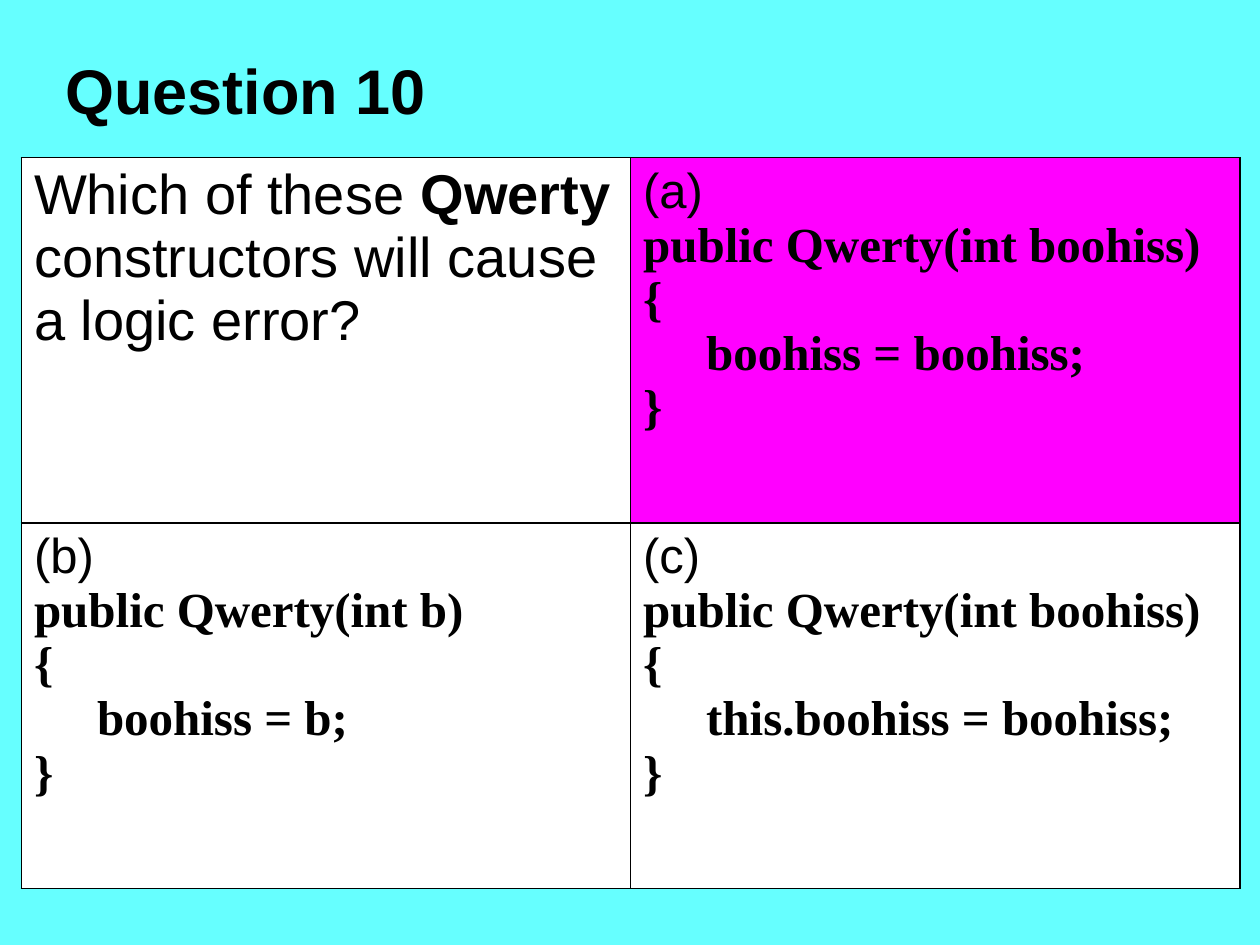
"""Build a quiz slide with a question and three possible constructors."""
from dataclasses import dataclass

from lxml.etree import SubElement
from pptx import Presentation
from pptx.dml.color import RGBColor
from pptx.enum.text import MSO_ANCHOR, MSO_AUTO_SIZE, PP_ALIGN
from pptx.oxml.ns import qn
from pptx.util import Inches, Pt

AQUA = RGBColor(0x66, 0xFF, 0xFF)
MAGENTA = RGBColor(0xFF, 0x00, 0xFF)
WHITE = RGBColor(0xFF, 0xFF, 0xFF)
BLACK = RGBColor(0x00, 0x00, 0x00)
SANS = "Arial"
SERIF = "Times New Roman"


@dataclass(frozen=True)
class Span:
    text: str
    size: int
    font: str = SANS
    bold: bool = False


@dataclass(frozen=True)
class Answer:
    row: int
    column: int
    letter: str
    parameter: str
    statement: str
    fill: RGBColor = WHITE


QUESTION = [
    Span("Which of these ", 32),
    Span("Qwerty ", 32, bold=True),
    Span("constructors will cause a logic error?", 32),
]
ANSWERS = [
    Answer(0, 1, "a", "boohiss", "boohiss = boohiss;", MAGENTA),
    Answer(1, 0, "b", "b", "boohiss = b;"),
    Answer(1, 1, "c", "boohiss", "this.boohiss = boohiss;"),
]


def style_run(run, span: Span) -> None:
    run.font.size = Pt(span.size)
    run.font.name = span.font
    run.font.bold = span.bold
    run.font.color.rgb = BLACK


def add_spans(paragraph, spans: list[Span]) -> None:
    for span in spans:
        run = paragraph.add_run()
        run.text = span.text
        style_run(run, span)


def add_tab_stop(paragraph, position: int) -> None:
    tab_list = SubElement(paragraph._p.get_or_add_pPr(), qn("a:tabLst"))
    SubElement(tab_list, qn("a:tab"), pos=str(position), algn="l")


def format_cell(cell, fill: RGBColor) -> None:
    properties = cell._tc.get_or_add_tcPr()
    for side in ("lnL", "lnR", "lnT", "lnB"):
        border = SubElement(properties, qn(f"a:{side}"), w=str(Pt(1)))
        paint = SubElement(border, qn("a:solidFill"))
        SubElement(paint, qn("a:srgbClr"), val=str(BLACK))
    cell.fill.solid()
    cell.fill.fore_color.rgb = fill


def write_answer(cell, answer: Answer) -> None:
    format_cell(cell, answer.fill)
    code = [f"public Qwerty(int {answer.parameter})", "{", f"\t{answer.statement}", "}"]
    lines = [Span(f"({answer.letter})", 28)]
    lines += [Span(line, 28, SERIF, True) for line in code]
    frame = cell.text_frame
    for index, line in enumerate(lines):
        paragraph = frame.add_paragraph() if index else frame.paragraphs[0]
        add_tab_stop(paragraph, Inches(0.5))
        add_spans(paragraph, [line])


def write_title(title, heading: Span) -> None:
    title.left, title.top = Inches(0.42), Inches(0.33)
    title.width, title.height = Inches(9.42), Inches(0.7)
    frame = title.text_frame
    frame.text = heading.text
    frame.auto_size = MSO_AUTO_SIZE.NONE
    frame.vertical_anchor = MSO_ANCHOR.BOTTOM
    frame.margin_bottom = Inches(0.02)
    paragraph = frame.paragraphs[0]
    paragraph.alignment = PP_ALIGN.LEFT
    style_run(paragraph.runs[0], heading)


def main() -> None:
    deck = Presentation()
    deck.slide_width, deck.slide_height = Inches(10), Inches(7.5)
    slide = deck.slides.add_slide(deck.slide_layouts[5])
    slide.background.fill.solid()
    slide.background.fill.fore_color.rgb = AQUA
    write_title(slide.shapes.title, Span("Question 10", 36, bold=True))

    quiz = slide.shapes.add_table(
        2, 2, Inches(0.17), Inches(1.25), Inches(9.67), Inches(5.8)
    ).table
    quiz.first_row = quiz.horz_banding = False
    question_cell = quiz.cell(0, 0)
    format_cell(question_cell, WHITE)
    add_spans(question_cell.text_frame.paragraphs[0], QUESTION)
    for answer in ANSWERS:
        write_answer(quiz.cell(answer.row, answer.column), answer)

    deck.save("out.pptx")


if __name__ == "__main__":
    main()
